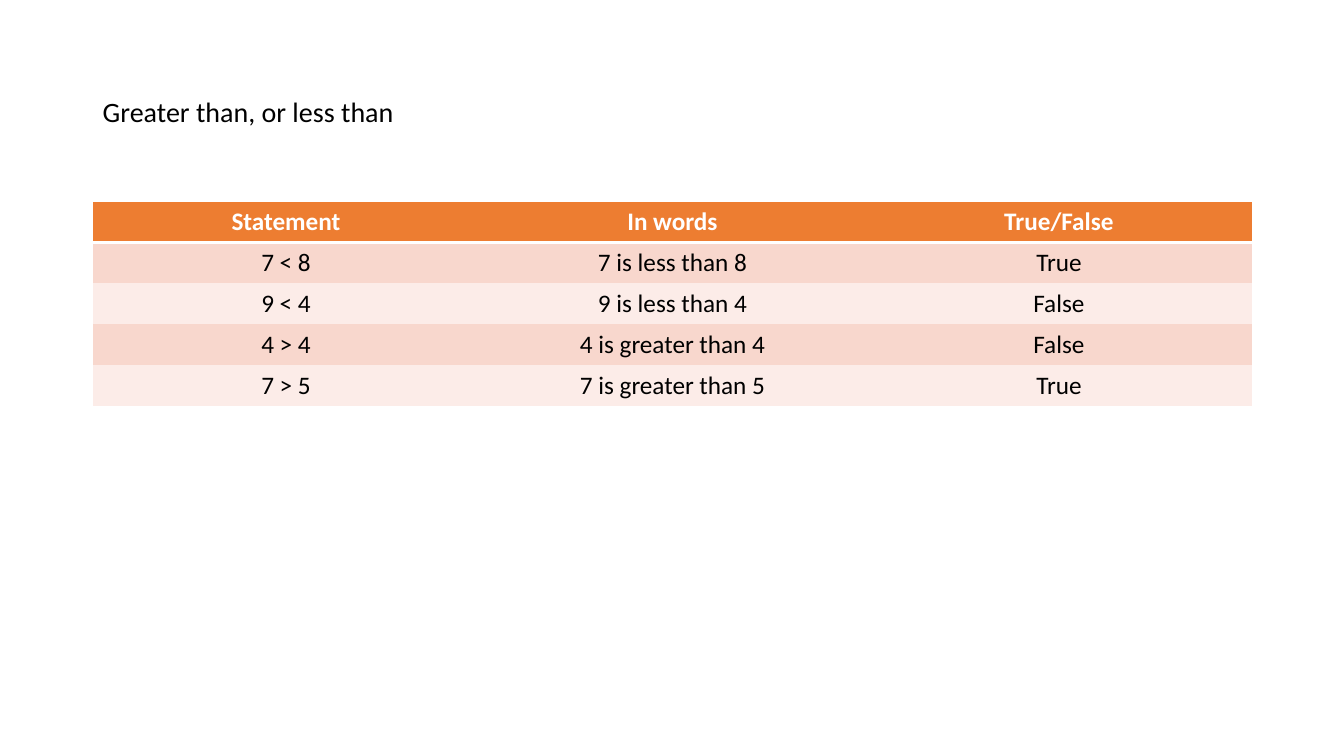
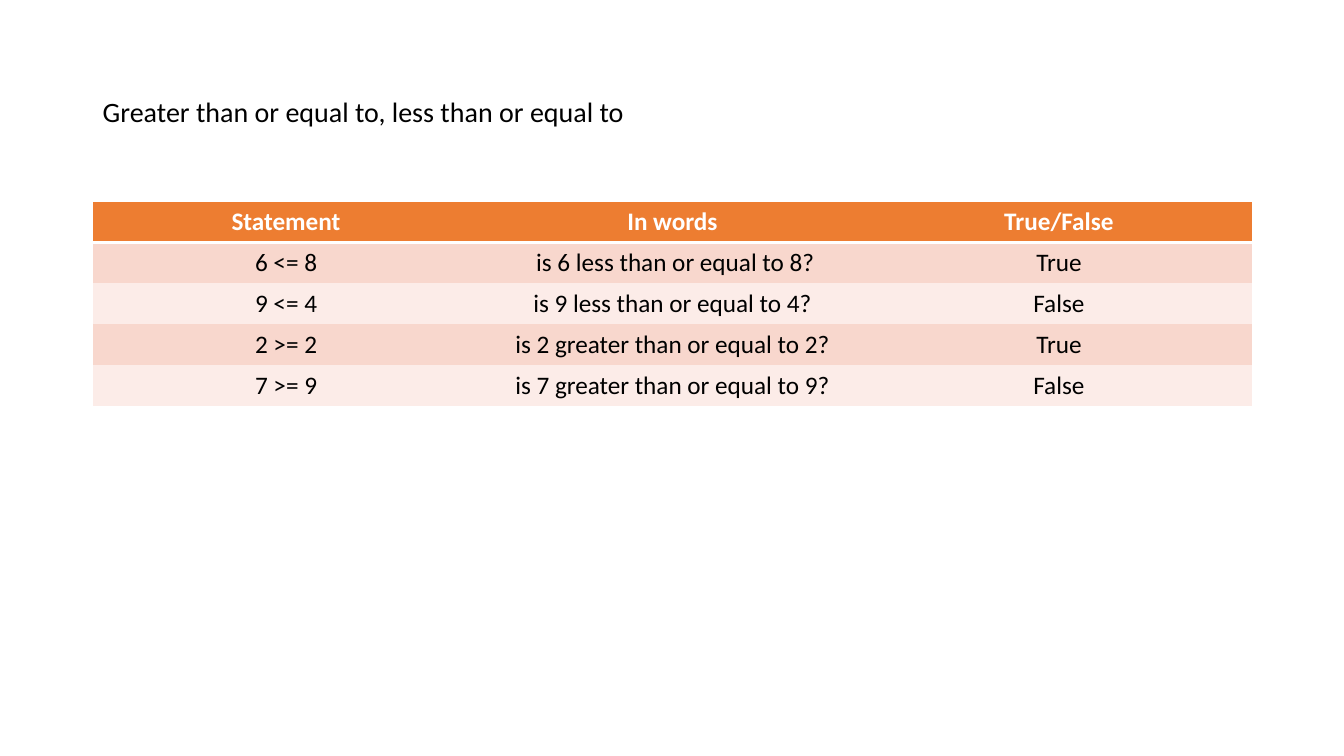
"""Build two slides that compare numbers, each with a title and a truth table."""
from dataclasses import dataclass

from lxml.etree import SubElement as Sub
from pptx import Presentation as Deck
from pptx.dml.color import RGBColor as Rgb
from pptx.enum.text import MSO_ANCHOR as Anchor, PP_ALIGN as Align
from pptx.oxml.ns import qn
from pptx.slide import Slide
from pptx.table import _Cell as Cell
from pptx.text.text import _Paragraph as Para
from pptx.util import Inches, Pt

WHITE = Rgb(0xFF, 0xFF, 0xFF)
BLACK = Rgb(0x00, 0x00, 0x00)
HEAD = Rgb(0xED, 0x7D, 0x31)
BANDS = (Rgb(0xFC, 0xEC, 0xE8), Rgb(0xF8, 0xD7, 0xCD))

LEFT, WIDTH = Inches(0.92), Inches(11.5)
TOP, HEIGHT = Inches(2), Inches(2.03)
THIN, THICK = Pt(1), Pt(3)
TITLE = {"name": "Calibri", "size": Pt(20)}
BODY = {"name": "Calibri", "size": Pt(18)}
LABELS = ("Statement", "In words", "True/False")


@dataclass(frozen=True)
class Page:
    """Hold the title and the table rows of one slide."""

    title: str
    rows: tuple[tuple[str, str, str], ...]


PAGES = (
    Page("Greater than, or less than", (
        ("7 < 8", "7 is less than 8", "True"),
        ("9 < 4", "9 is less than 4", "False"),
        ("4 > 4", "4 is greater than 4", "False"),
        ("7 > 5", "7 is greater than 5", "True"),
    )),
    Page("Greater than or equal to, less than or equal to", (
        ("6 <= 8", " is 6 less than or equal to 8?", "True"),
        ("9 <= 4", "is 9 less than or equal to 4?", "False"),
        ("2 >= 2", "is 2 greater than or equal to 2?", "True"),
        ("7 >= 9", "is 7 greater than or equal to 9?", "False"),
    )),
)


def write(para: Para, text: str, look: dict, color: Rgb) -> None:
    """Add a run of text with the given font values and colour."""
    run = para.add_run()
    run.text = text
    for key, value in look.items():
        setattr(run.font, key, value)
    run.font.color.rgb = color


def edge(cell: Cell, side: str, width: int) -> None:
    """Set one cell border: white, or none when the width is zero."""
    line = Sub(cell._tc.get_or_add_tcPr(), qn(f"a:ln{side}"), w=str(width))
    if width:
        fill = Sub(line, qn("a:solidFill"))
        Sub(fill, qn("a:srgbClr"), val=str(WHITE))
    else:
        Sub(line, qn("a:noFill"))


def add_title(slide: Slide, text: str) -> None:
    """Add the slide title."""
    frame = slide.shapes.add_textbox(LEFT, Inches(0.4), WIDTH, Inches(1.45)).text_frame
    frame.word_wrap = True
    frame.vertical_anchor = Anchor.MIDDLE
    para = frame.paragraphs[0]
    para.line_spacing = 0.9
    write(para, text, TITLE, BLACK)


def add_grid(slide: Slide, rows: tuple) -> None:
    """Add the banded table below its header row."""
    data = (LABELS, *rows)
    high, wide = len(data), len(LABELS)
    table = slide.shapes.add_table(high, wide, LEFT, TOP, WIDTH, HEIGHT).table
    for r, row in enumerate(data):
        top = {0: THIN, 1: THICK}.get(r, 0)
        base = {0: THICK, high - 1: THIN}.get(r, 0)
        for c, text in enumerate(row):
            cell = table.cell(r, c)
            sides = {
                "L": THIN if c == 0 else 0,
                "R": THIN if c == wide - 1 else 0,
                "T": top,
                "B": base,
            }
            for side, width in sides.items():
                edge(cell, side, width)
            cell.fill.solid()
            cell.fill.fore_color.rgb = BANDS[r % 2] if r else HEAD
            para = cell.text_frame.paragraphs[0]
            para.alignment = Align.CENTER
            write(para, text, BODY | {"bold": r == 0}, BLACK if r else WHITE)


def main() -> None:
    """Build and save the deck."""
    deck = Deck()
    deck.slide_width, deck.slide_height = Inches(13.33), Inches(7.5)
    for page in PAGES:
        slide = deck.slides.add_slide(deck.slide_layouts[6])
        add_title(slide, page.title)
        add_grid(slide, page.rows)
    deck.save("out.pptx")


if __name__ == "__main__":
    main()
